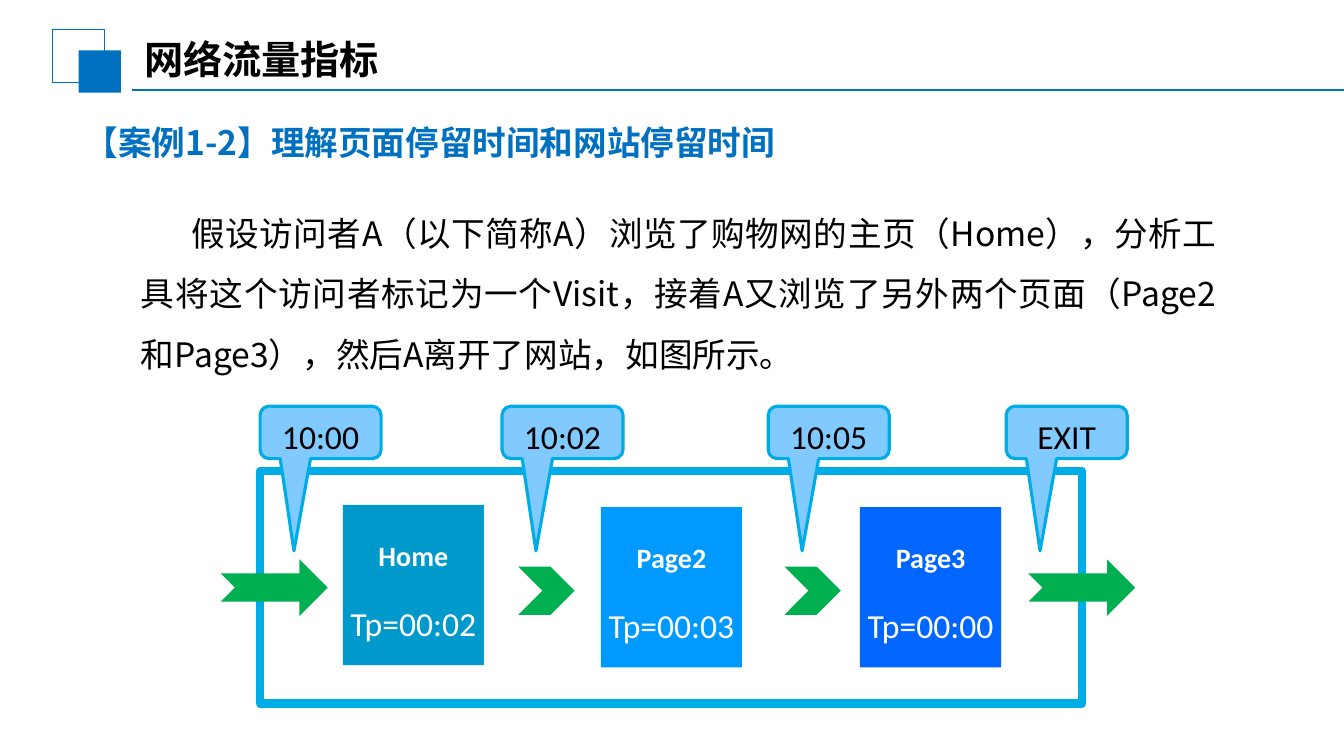
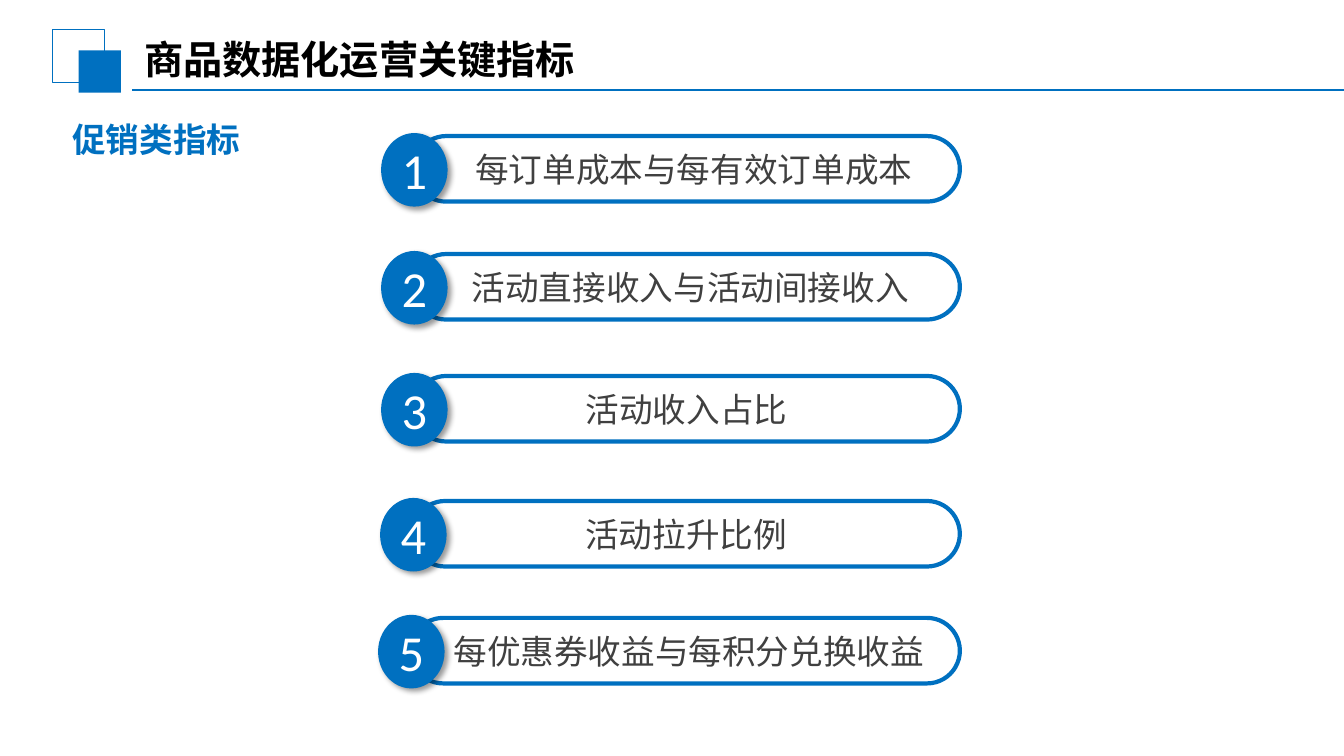
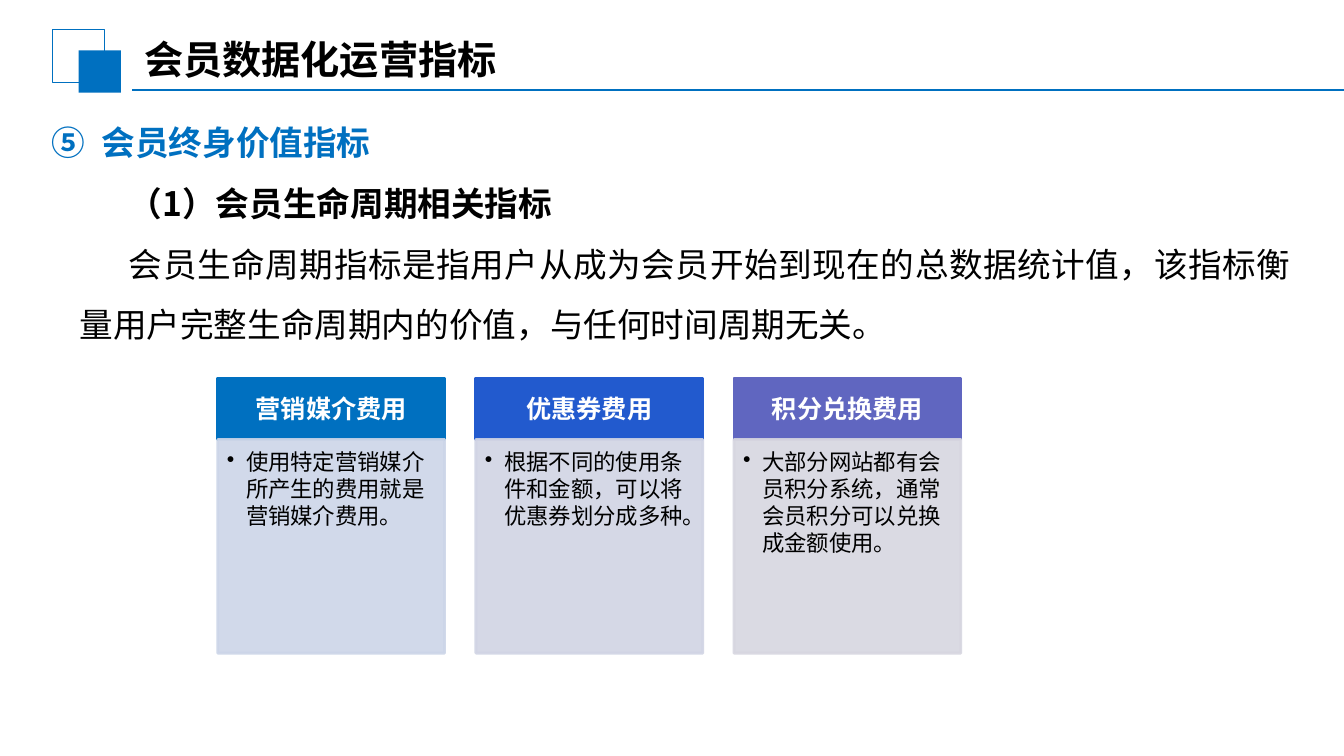
"""Build three slides on e-commerce data metrics."""
from dataclasses import dataclass
from lxml.etree import SubElement
from pptx import Presentation
from pptx.dml.color import RGBColor
from pptx.enum.shapes import MSO_CONNECTOR as Connector, MSO_SHAPE as Shape
from pptx.enum.text import MSO_ANCHOR as Anchor, PP_ALIGN as Align
from pptx.oxml.ns import qn
from pptx.util import Inches, Pt


@dataclass(frozen=True)
class Theme:
    blue: str = "0070C0"
    black: str = "000000"
    white: str = "FFFFFF"
    label: str = "404040"
    frame: str = "00ACE6"
    callout: str = "80CAFF"
    arrow: str = "00B050"
    latin: str = "Calibri"
    asian: str = "Noto Sans CJK SC"
    badge_size: int = 36
    title_size: int = 28
    body_size: int = 24
    name_size: int = 20
    header_size: int = 18
    bullet_size: int = 16


THEME = Theme()
PLAIN_INSETS = (0.1, 0.05, 0.1, 0.05)

VISIT_TITLE = "网络流量指标"
VISIT_HEADING = "【案例1-2】理解页面停留时间和网站停留时间"
VISIT_TEXT = ("假设访问者A（以下简称A）浏览了购物网的主页（Home），分析工具将这个访问者标记为一个Visit，"
              "接着A又浏览了另外两个页面（Page2和Page3），然后A离开了网站，如图所示。")
VISIT_PAGES = [
    ("Home", "Tp=00:02", 3.4, 5.01, "0099CC"),
    ("Page2", "Tp=00:03", 5.96, 5.03, "0099FF"),
    ("Page3", "Tp=00:00", 8.53, 5.03, "0066FF"),
]
VISIT_ARROWS = [
    (Shape.NOTCHED_RIGHT_ARROW, (2.19, 5.55, 1.06, 0.56)),
    (Shape.CHEVRON, (5.14, 5.62, 0.56, 0.48)),
    (Shape.CHEVRON, (7.78, 5.62, 0.56, 0.48)),
    (Shape.NOTCHED_RIGHT_ARROW, (10.2, 5.55, 1.06, 0.56)),
]
VISIT_TIMES = [("10:00", 2.58), ("10:02", 4.98), ("10:05", 7.62), ("EXIT", 9.98)]

PROMOTION_TITLE = "商品数据化运营关键指标"
PROMOTION_HEADING = "促销类指标"
PROMOTION_METRICS = [
    ("每订单成本与每有效订单成本", 4.1, 1.35, 0.24),
    ("活动直接收入与活动间接收入", 4.1, 2.52, 0.17),
    ("活动收入占比", 4.1, 3.73, 0.1),
    ("活动拉升比例", 4.09, 4.97, 0.1),
    ("每优惠券收益与每积分兑换收益", 4.07, 6.13, 0.17),
]

MEMBER_TITLE = "会员数据化运营指标"
MEMBER_HEADING = "会员终身价值指标"
MEMBER_SUBHEADING = "（1）会员生命周期相关指标"
MEMBER_TEXT = ("会员生命周期指标是指用户从成为会员开始到现在的总数据统计值，"
               "该指标衡量用户完整生命周期内的价值，与任何时间周期无关。")
MEMBER_COSTS = [
    ("营销媒介费用", "使用特定营销媒介所产生的费用就是营销媒介费用。", "0070C0", "CCD5E8"),
    ("优惠券费用", "根据不同的使用条件和金额，可以将优惠券划分成多种。", "225ACE", "D1D4E4"),
    ("积分兑换费用", "大部分网站都有会员积分系统，通常会员积分可以兑换成金额使用。", "6066C0", "D7D6E0"),
]


def color(value):
    return RGBColor.from_string(value)


def inches(values):
    return [Inches(value) for value in values]


def add_figure(page, kind, place, fill=None, line=None, width=1):
    figure = page.shapes.add_shape(kind, *inches(place))
    figure.shadow.inherit = False
    if fill:
        figure.fill.solid()
        figure.fill.fore_color.rgb = color(fill)
    else:
        figure.fill.background()
    if line:
        figure.line.color.rgb = color(line)
        figure.line.width = Pt(width)
    else:
        figure.line.fill.background()
    return figure


def set_frame(box, texts, insets=PLAIN_INSETS, anchor=Anchor.TOP):
    frame = box.text_frame
    frame.word_wrap = True
    frame.vertical_anchor = anchor
    frame.margin_left, frame.margin_top, frame.margin_right, frame.margin_bottom = inches(insets)
    frame.text = "\n".join(texts)
    return frame.paragraphs


def style(para, size, ink, bold=False, latin=THEME.asian, align=Align.LEFT):
    para.alignment = align
    for span in para.runs:
        span.font.size = Pt(size)
        span.font.bold = bold
        span.font.color.rgb = color(ink)
        span.font.name = latin
        SubElement(span.font._element, qn("a:ea"), typeface=THEME.asian)


def indent(para, left, first):
    properties = para._p.get_or_add_pPr()
    properties.set("marL", str(Inches(left)))
    properties.set("indent", str(Inches(first)))
    return properties


def add_box(page, place, texts, **frame_options):
    return set_frame(page.shapes.add_textbox(*inches(place)), texts, **frame_options)


def add_page(deck, title):
    page = deck.slides.add_slide(deck.slide_layouts[6])
    add_figure(page, Shape.RECTANGLE, (0.52, 0.29, 0.52, 0.53), line=THEME.blue, width=0.75)
    add_figure(page, Shape.RECTANGLE, (0.78, 0.5, 0.42, 0.42), fill=THEME.blue)
    rule = page.shapes.add_connector(Connector.STRAIGHT, *inches((1.31, 0.89, 13.33, 0.89)))
    rule.line.color.rgb = color(THEME.blue)
    rule.line.width = Pt(1.25)
    SubElement(rule._element.spPr, qn("a:effectLst"))
    para, = add_box(page, (1.3, 0.29, 5.29, 0.58), [title],
                    insets=(0.13, 0.07, 0.13, 0.07), anchor=Anchor.MIDDLE)
    style(para, THEME.title_size, THEME.black, True, THEME.latin)
    return page


def add_heading(page, place, text, number=None):
    para, = add_box(page, place, [text])
    if number:
        SubElement(indent(para, 0.5, -0.5), qn("a:buAutoNum"),
                   type="circleNumDbPlain", startAt=str(number))
    else:
        indent(para, 0, 0.33)
    style(para, THEME.body_size, THEME.blue, True)


def add_prose(page, place, texts, first):
    paras = add_box(page, place, texts)
    for para in paras:
        indent(para, 0, first)
        para.line_spacing = 1.5
        style(para, THEME.body_size, THEME.black, align=Align.JUSTIFY)
    return paras


def add_shadow(figure):
    effects = figure._element.spPr.find(qn("a:effectLst"))
    shadow = SubElement(effects, qn("a:outerShdw"), blurRad=str(Pt(4)), dist=str(Pt(3)),
                        dir=str(45 * 60000), algn="tl", rotWithShape="0")
    tint = SubElement(shadow, qn("a:srgbClr"), val=THEME.black)
    SubElement(tint, qn("a:alpha"), val="40000")


def build_visit(deck):
    page = add_page(deck, VISIT_TITLE)
    add_heading(page, (0.41, 1.16, 9.05, 0.5), VISIT_HEADING)
    add_prose(page, (1.3, 1.86, 10.86, 1.92), [VISIT_TEXT], 0.5)
    add_figure(page, Shape.RECTANGLE, (2.58, 4.67, 8.15, 2.31), line=THEME.frame, width=6)
    for name, duration, left, top, fill in VISIT_PAGES:
        card = add_figure(page, Shape.RECTANGLE, (left, top, 1.4, 1.59), fill)
        name_para, time_para = set_frame(card, [name, duration], (0, 0.33, 0, 0))
        style(name_para, THEME.name_size, THEME.white, True, THEME.latin, Align.CENTER)
        style(time_para, THEME.body_size, THEME.white, False, THEME.latin, Align.CENTER)
        time_para.space_before = Pt(22)
    for kind, place in VISIT_ARROWS:
        add_figure(page, kind, place, THEME.arrow)
    for time, left in VISIT_TIMES:
        callout = add_figure(page, Shape.ROUNDED_RECTANGULAR_CALLOUT, (left, 4.03, 1.2, 0.52),
                             THEME.callout, THEME.frame, 2.25)
        for index, value in enumerate((-0.22, 2.26, 0.17)):
            callout.adjustments[index] = value
        para, = set_frame(callout, [time], (0, 0.08, 0, 0), Anchor.MIDDLE)
        style(para, THEME.body_size, THEME.black, False, THEME.latin, Align.CENTER)


def build_promotion(deck):
    page = add_page(deck, PROMOTION_TITLE)
    add_heading(page, (0.29, 1.13, 4.06, 0.5), PROMOTION_HEADING)
    right = 9.52
    for number, (metric, left, top, inset) in enumerate(PROMOTION_METRICS, 1):
        pill = add_figure(page, Shape.ROUNDED_RECTANGLE, (left, top, right - left, 0.65),
                          line=THEME.blue, width=3)
        pill.adjustments[0] = 0.5
        para, = set_frame(pill, [metric], (inset, 0.05, 0.1, 0.05), Anchor.MIDDLE)
        style(para, THEME.body_size, THEME.label, align=Align.CENTER)
        badge = add_figure(page, Shape.OVAL, (left - 0.32, top - 0.03, 0.66, 0.73), THEME.blue)
        add_shadow(badge)
        para, = set_frame(badge, [str(number)], anchor=Anchor.MIDDLE)
        style(para, THEME.badge_size, THEME.white, False, THEME.latin, Align.CENTER)


def build_member(deck):
    page = add_page(deck, MEMBER_TITLE)
    add_heading(page, (0.41, 1.16, 7.07, 0.5), MEMBER_HEADING, number=5)
    paras = add_prose(page, (0.69, 1.57, 12.21, 1.92), [MEMBER_SUBHEADING, MEMBER_TEXT], 0.49)
    paras[0].runs[0].font.bold = True
    width, step = 2.25, 2.56
    for column, (name, detail, dark, pale) in enumerate(MEMBER_COSTS):
        left = 2.16 + column * step
        header = add_figure(page, Shape.RECTANGLE, (left, 3.75, width, 0.61), dark, dark, 2)
        para, = set_frame(header, [name], (0.14, 0.08, 0.14, 0.08), Anchor.MIDDLE)
        style(para, THEME.header_size, THEME.white, True, align=Align.CENTER)
        body = add_figure(page, Shape.RECTANGLE, (left, 4.36, width, 2.12), pale, pale, 2)
        for tint in body._element.spPr.iter(qn("a:srgbClr")):
            SubElement(tint, qn("a:alpha"), val="90000")
        para, = set_frame(body, [detail], (0.09, 0.09, 0.12, 0.14))
        SubElement(indent(para, 0.19, -0.19), qn("a:buChar"), char="•")
        style(para, THEME.bullet_size, THEME.black)


def main():
    deck = Presentation()
    deck.slide_width, deck.slide_height = inches((13.33, 7.5))
    for build in (build_visit, build_promotion, build_member):
        build(deck)
    deck.save("out.pptx")


if __name__ == "__main__":
    main()
